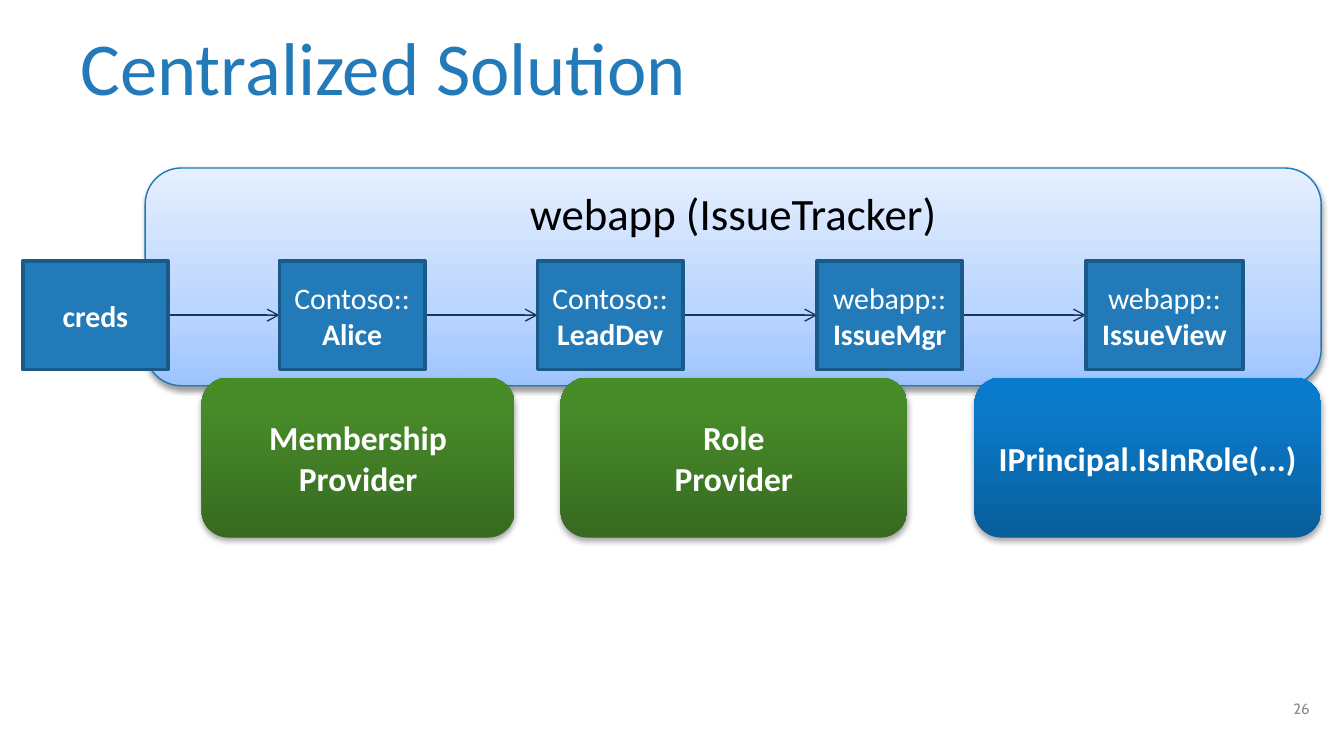
from lxml import etree
from pptx import Presentation
from pptx import util as u
from pptx.dml.color import RGBColor
from pptx.enum import shapes, text
from pptx.oxml.ns import qn

COLORS = {
    "title": "237AB9", "step": "227AB9", "step_edge": "195A89",
    "app_edge": "1E78B9", "arrow": "17375E", "number": "8C8C8C",
    "white": "FFFFFF", "black": "000000",
}
GRADIENTS = {  # bottom to top: percent, colour
    "app": [(0, "9EC4FF"), (35, "BAD5FF"), (100, "E5EFFF")],
    "green": [(0, "376A20"), (80, "478A29"), (100, "478D27")],
    "blue": [(0, "085E9B"), (80, "0B7AC9"), (100, "077BCE")],
}
TITLE = "Centralized Solution"
APP = "webapp (IssueTracker)"
PAGE_NUMBER = "26"
STEPS = [  # left, width, lines
    (0.17, 1.08, ["creds"]),
    (2.08, 1.08, ["Contoso::", "Alice"]),
    (4.00, 1.08, ["Contoso::", "LeadDev"]),
    (6.08, 1.08, ["webapp::", "IssueMgr"]),
    (8.08, 1.17, ["webapp::", "IssueView"]),
]
ARROW_STARTS = [1.25, 3.17, 5.08, 6.83]
PROVIDERS = [  # left, width, gradient, lines
    (1.50, 2.33, "green", ["Membership", "Provider"]),
    (4.17, 2.58, "green", ["Role", "Provider"]),
    (7.25, 2.58, "blue", ["IPrincipal.IsInRole(...)"]),
]
SLIDE_WIDTH = 10
SLIDE_HEIGHT = SLIDE_WIDTH * 9 / 16
STEP_TOP, STEP_HEIGHT = 1.94, 0.81
PROVIDER_TOP, PROVIDER_HEIGHT = 2.81, 1.19
ARROW_Y = STEP_TOP + STEP_HEIGHT / 2


def rgb(name):
    return RGBColor.from_string(COLORS[name])


def write(box, lines, size, color, bold=(), font="Calibri",
          align=text.PP_ALIGN.CENTER, anchor=text.MSO_ANCHOR.MIDDLE):
    """Fill a box with one paragraph per line; bold holds the bold line indexes."""
    frame = box.text_frame
    frame.text = "\n".join(lines)
    frame.vertical_anchor = anchor
    for index, para in enumerate(frame.paragraphs):
        para.alignment = align
        for span in para.runs:
            span.font.name = font
            span.font.size = u.Pt(size)
            span.font.bold = index in bold
            span.font.color.rgb = rgb(color)


def add_box(page, kind, left, top, width, height, edge=None, edge_width=0.75):
    box = page.shapes.add_shape(kind, *map(u.Inches, (left, top, width, height)))
    box.shadow.inherit = False
    box.text_frame.word_wrap = False
    if edge:
        box.line.color.rgb = rgb(edge)
        box.line.width = u.Pt(edge_width)
    else:
        box.line.fill.background()
    return box


def shade(box, gradient, opacity, distance):
    """Give a box an upward gradient and a soft shadow below it."""
    box.fill.gradient()
    box.fill.gradient_angle = 90
    stops = box._element.spPr.find(".//" + qn("a:gsLst"))
    for stop in list(stops):
        stops.remove(stop)
    for percent, color in GRADIENTS[gradient]:
        stop = etree.SubElement(stops, qn("a:gs"), pos=str(percent * 1000))
        etree.SubElement(stop, qn("a:srgbClr"), val=color)
    effects = box._element.spPr.find(qn("a:effectLst"))
    shadow = etree.SubElement(effects, qn("a:outerShdw"), blurRad="40000",
                              dist=str(u.Pt(distance)), dir="5400000", rotWithShape="0")
    tint = etree.SubElement(shadow, qn("a:srgbClr"), val=COLORS["black"])
    etree.SubElement(tint, qn("a:alpha"), val=str(opacity * 1000))


def add_arrow(page, start, end):
    arrow = page.shapes.add_connector(
        shapes.MSO_CONNECTOR.STRAIGHT, u.Inches(start), u.Inches(ARROW_Y),
        u.Inches(end), u.Inches(ARROW_Y))
    arrow.line.color.rgb = rgb("arrow")
    arrow.line.width = u.Pt(0.75)
    etree.SubElement(arrow.line._get_or_add_ln(), qn("a:tailEnd"), type="arrow")
    etree.SubElement(arrow._element.spPr, qn("a:effectLst"))


def main():
    deck = Presentation()
    deck.slide_width, deck.slide_height = u.Inches(SLIDE_WIDTH), u.Inches(SLIDE_HEIGHT)
    page = deck.slides.add_slide(deck.slide_layouts[5])
    rounded = shapes.MSO_SHAPE.ROUNDED_RECTANGLE

    app = add_box(page, rounded, 1.08, 1.25, 8.75, 1.62, "app_edge")
    shade(app, "app", 38, 1.6)
    write(app, [APP], 24, "black", anchor=text.MSO_ANCHOR.TOP)

    title = page.shapes.title
    title.left, title.top, title.width, title.height = map(u.Inches, (0.5, -0.1, 9, 1.17))
    write(title, [TITLE], 40, "title", align=text.PP_ALIGN.LEFT)

    for start, (end, _, _) in zip(ARROW_STARTS, STEPS[1:]):
        add_arrow(page, start, end)

    for left, width, lines in STEPS:
        step = add_box(page, shapes.MSO_SHAPE.RECTANGLE, left, STEP_TOP,
                       width, STEP_HEIGHT, "step_edge", 2)
        step.fill.solid()
        step.fill.fore_color.rgb = rgb("step")
        write(step, lines, 16, "white", bold=[len(lines) - 1])

    for left, width, gradient, lines in PROVIDERS:
        provider = add_box(page, rounded, left, PROVIDER_TOP, width, PROVIDER_HEIGHT)
        shade(provider, gradient, 35, 1.8)
        write(provider, lines, 18, "white", bold=range(len(lines)))

    number = page.shapes.add_textbox(*map(u.Inches, (9.37, 5.08, 0.63, 0.39)))
    number.text_frame.word_wrap = True
    write(number, [PAGE_NUMBER], 8, "number", font="Cabin")

    deck.save("out.pptx")


if __name__ == "__main__":
    main()
